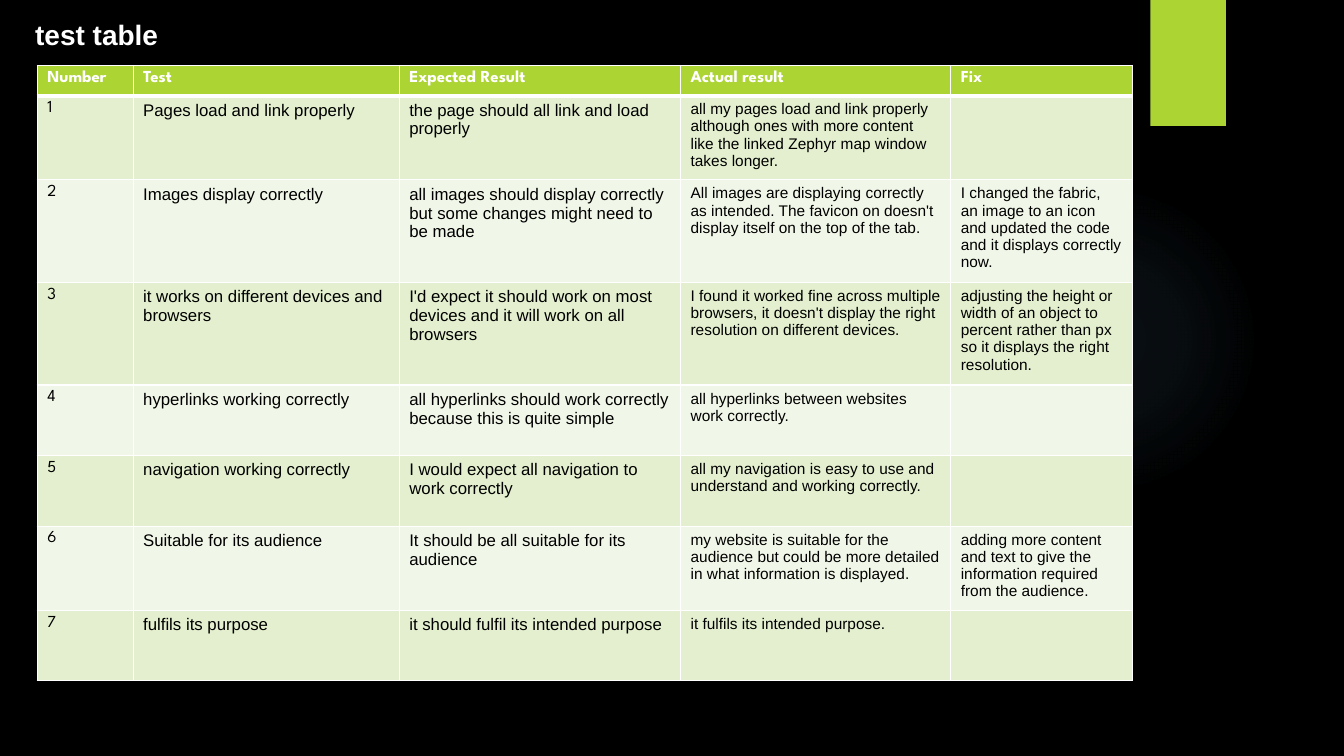
"""Build the test table slide."""
from lxml.etree import SubElement
from pptx import Presentation
from pptx.dml.color import RGBColor
from pptx.enum.shapes import MSO_SHAPE as Preset
from pptx.enum.text import MSO_AUTO_SIZE as AutoSize
from pptx.oxml import parse_xml
from pptx.oxml.ns import nsdecls, qn
from pptx.util import Inches, Pt

BLACK = RGBColor(0x00, 0x00, 0x00)
WHITE = RGBColor(0xFF, 0xFF, 0xFF)
LIME = RGBColor(0xAC, 0xD4, 0x33)
PALE_LIME = RGBColor(0xE3, 0xEF, 0xCE)
PALEST_LIME = RGBColor(0xF1, 0xF7, 0xE8)
SKY = RGBColor(0x7A, 0xC4, 0xF0)

COLUMN_WIDTHS = [0.95, 2.64, 2.79, 2.68, 1.8]
COLUMN_FONTS = [("League Spartan", 12), ("Arial", 12), ("Arial", 12), ("Arial", 11), ("Arial", 11)]
HEADER_HEIGHT, ROW_HEIGHT = 0.3, 0.7
HEADINGS = ["Number", "Test", "Expected Result", "Actual result", "Fix"]
TESTS = [
    ["Pages load and link properly",
     "the page should all link and load properly",
     "all my pages load and link properly although ones with more content like the linked "
     "Zephyr map window takes longer.",
     ""],
    ["Images display correctly",
     "all images should display correctly but some changes might need to be made",
     "All images are displaying correctly as intended. The favicon on doesn't display itself "
     "on the top of the tab.",
     "I changed the fabric, an image to an icon and updated the code and it displays correctly now."],
    ["it works on different devices and browsers",
     "I'd expect it should work on most devices and it will work on all browsers",
     "I found it worked fine across multiple browsers, it doesn't display the right resolution "
     "on different devices.",
     "adjusting the height or width of an object to percent rather than px so it displays "
     "the right resolution."],
    ["hyperlinks working correctly",
     "all hyperlinks should work correctly because this is quite simple",
     "all hyperlinks between websites work correctly.",
     ""],
    ["navigation working correctly",
     "I would expect all navigation to work correctly",
     "all my navigation is easy to use and understand and working correctly.",
     ""],
    ["Suitable for its audience",
     "It should be all suitable for its audience",
     "my website is suitable for the audience but could be more detailed in what information "
     "is displayed.",
     "adding more content and text to give the information required from the audience."],
    ["fulfils its purpose",
     "it should fulfil its intended purpose",
     "it fulfils its intended purpose.",
     ""],
]


def write(frame, text, color, **formats):
    """Write one run of text with the given font values."""
    span = frame.paragraphs[0].add_run()
    span.text = text
    for name, value in formats.items():
        setattr(span.font, name, value)
    span.font.color.rgb = color


def add_plain_shape(page, preset, left, top, width, height):
    """Add a preset shape without outline or shadow."""
    shape = page.shapes.add_shape(preset, Inches(left), Inches(top), Inches(width), Inches(height))
    shape.shadow.inherit = False
    shape.line.fill.background()
    return shape


def add_glow(page):
    """Add the faint round glow that fades towards its edge."""
    glow = add_plain_shape(page, Preset.OVAL, 9.41, 1.83, 3.08, 3.08)
    stops = "".join(
        f'<a:gs pos="{place * 1000}"><a:srgbClr val="{SKY}"><a:alpha val="{alpha * 1000}"/>'
        "</a:srgbClr></a:gs>"
        for place, alpha in [(0, 7), (36, 6), (69, 0)])
    gradient = parse_xml(
        f'<a:gradFill {nsdecls("a")} rotWithShape="1"><a:gsLst>{stops}</a:gsLst><a:path path="circle">'
        '<a:fillToRect l="50000" t="50000" r="50000" b="50000"/></a:path></a:gradFill>')
    glow.element.spPr.find(qn("a:prstGeom")).addnext(gradient)


def add_tab(page):
    """Add the lime tab with its soft shadow at the top edge."""
    tab = add_plain_shape(page, Preset.RECTANGLE, 11.41, 0, 0.75, 1.25)
    tab.fill.solid()
    tab.fill.fore_color.rgb = LIME
    effects = tab.element.spPr.find(qn("a:effectLst"))
    shadow = SubElement(effects, qn("a:outerShdw"), blurRad=str(Pt(3)), dist=str(Pt(2)),
                        dir="5400000", rotWithShape="0")
    color = SubElement(shadow, qn("a:srgbClr"), val=str(BLACK))
    SubElement(color, qn("a:alpha"), val="45000")


def add_title(page, text):
    """Add the slide title."""
    box = page.shapes.add_textbox(Inches(0.25), Inches(0.12), Inches(8.83), Inches(0.44))
    box.text_frame.word_wrap = True
    box.text_frame.auto_size = AutoSize.SHAPE_TO_FIT_TEXT
    write(box.text_frame, text, WHITE, name="Arial", size=Pt(20), bold=True)


def set_borders(cell, top, bottom):
    """Draw white cell borders with the given top and bottom widths."""
    properties = cell._tc.get_or_add_tcPr()
    for side, width in {"L": 1, "R": 1, "T": top, "B": bottom}.items():
        line = SubElement(properties, qn(f"a:ln{side}"), w=str(Pt(width)))
        SubElement(SubElement(line, qn("a:solidFill")), qn("a:srgbClr"), val=str(WHITE))


def add_test_table(page):
    """Add the table of tests with a lime header and banded rows."""
    rows = [HEADINGS] + [[str(number), *test] for number, test in enumerate(TESTS, 1)]
    height = HEADER_HEIGHT + ROW_HEIGHT * len(TESTS)
    table = page.shapes.add_table(len(rows), len(HEADINGS), Inches(0.37), Inches(0.65),
                                  Inches(sum(COLUMN_WIDTHS)), Inches(height)).table
    for column, width in zip(table.columns, COLUMN_WIDTHS):
        column.width = Inches(width)
    for row, texts in enumerate(rows):
        header = row == 0
        table.rows[row].height = Inches(HEADER_HEIGHT if header else ROW_HEIGHT)
        fill = LIME if header else PALE_LIME if row % 2 else PALEST_LIME
        for column, text in enumerate(texts):
            cell = table.cell(row, column)
            set_borders(cell, 3 if row == 1 else 1, 3 if header else 1)
            cell.fill.solid()
            cell.fill.fore_color.rgb = fill
            font, size = COLUMN_FONTS[0] if header else COLUMN_FONTS[column]
            if text:
                write(cell.text_frame, text, WHITE if header else BLACK,
                      name=font, size=Pt(size), bold=header)


def main():
    """Build and save the deck."""
    deck = Presentation()
    deck.slide_width, deck.slide_height = Inches(13.33), Inches(7.5)
    page = deck.slides.add_slide(deck.slide_layouts[6])
    page.background.fill.solid()
    page.background.fill.fore_color.rgb = BLACK
    add_glow(page)
    add_tab(page)
    add_title(page, "test table")
    add_test_table(page)
    deck.save("out.pptx")


if __name__ == "__main__":
    main()
